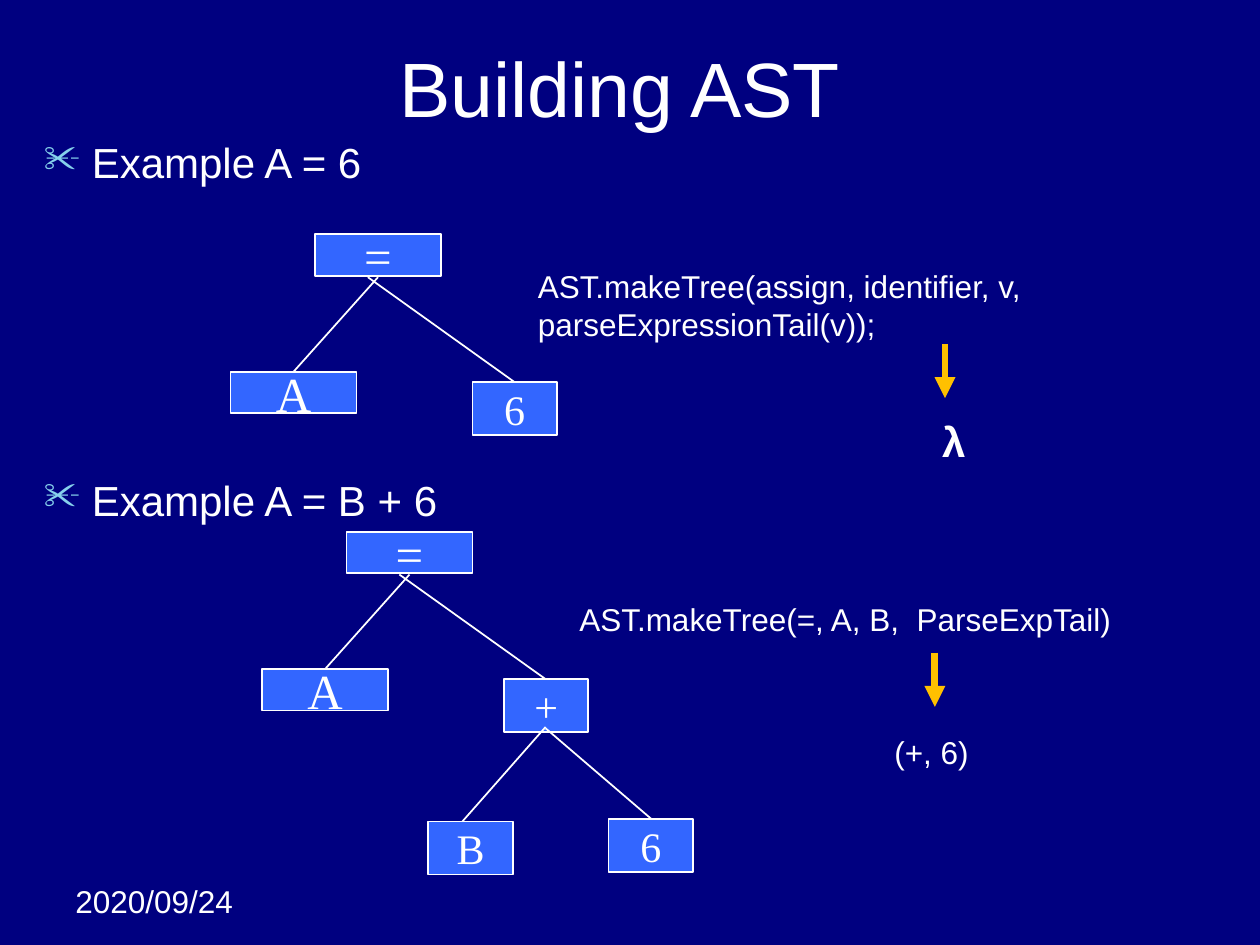
from lxml import etree
from pptx import Presentation
from pptx.dml.color import RGBColor
from pptx.enum import shapes, text
from pptx.oxml import ns
from pptx.util import Inches, Pt

rgb = RGBColor.from_string
WHITE, NAVY, BLUE, AMBER, SKY = "FFFFFF", "000080", "3366FF", "FFC000", "86D1EC"


def set_font(paragraph, size, name="Arial", bold=False):
    paragraph.font.size = Pt(size)
    paragraph.font.name = name
    paragraph.font.bold = bold
    paragraph.font.color.rgb = rgb(WHITE)


def add_line(start, end, color, width):
    line = slide.shapes.add_connector(
        shapes.MSO_CONNECTOR.STRAIGHT, *[Inches(v) for v in (*start, *end)])
    line.line.color.rgb = rgb(color)
    line.line.width = Pt(width)
    etree.SubElement(line._element.spPr, ns.qn("a:effectLst"))
    return line


deck = Presentation()
deck.slide_width, deck.slide_height = Inches(10), Inches(7.5)
slide = deck.slides.add_slide(deck.slide_layouts[5])
slide.background.fill.solid()
slide.background.fill.fore_color.rgb = rgb(NAVY)

title = slide.shapes.title
title.left, title.top, title.width, title.height = [Inches(v) for v in (0.5, 0.3, 9, 0.78)]
title.text_frame.text = "Building AST "
title.text_frame.vertical_anchor = text.MSO_ANCHOR.MIDDLE
title.text_frame.paragraphs[0].alignment = text.PP_ALIGN.CENTER
set_font(title.text_frame.paragraphs[0], 44)

examples = slide.shapes.add_textbox(Inches(0.25), Inches(1.08), Inches(9.58), Inches(5.5)).text_frame
examples.word_wrap = True
examples.text = "Example A = 6\nExample A = B + 6"
for paragraph in examples.paragraphs:
    paragraph.line_spacing = 0.9
    props = paragraph._p.get_or_add_pPr()
    props.set("marL", str(Inches(0.38)))
    props.set("indent", str(Inches(-0.38)))
    bullet_color = etree.SubElement(props, ns.qn("a:buClr"))
    etree.SubElement(bullet_color, ns.qn("a:srgbClr"), val=SKY)
    etree.SubElement(props, ns.qn("a:buSzPct"), val="90000")
    etree.SubElement(props, ns.qn("a:buChar"), char="✂")
    set_font(paragraph, 24)
examples.paragraphs[1].space_before = Pt(167)

WIDE, SMALL = (1, 0.33, 28), (0.67, 0.42, 24)
nodes = [
    ("=", 2.5, 1.86, WIDE), ("A", 1.83, 2.95, WIDE), ("6", 3.75, 3.03, SMALL),
    ("=", 2.75, 4.22, WIDE), ("A", 2.08, 5.31, WIDE), ("+", 4, 5.39, SMALL),
    ("6", 4.83, 6.5, SMALL), ("B", 3.4, 6.52, SMALL),
]
for label, left, top, (width, height, size) in nodes:
    node = slide.shapes.add_shape(
        shapes.MSO_SHAPE.RECTANGLE, *[Inches(v) for v in (left, top, width, height)])
    node.shadow.inherit = False
    node.fill.solid()
    node.fill.fore_color.rgb = rgb(BLUE)
    node.line.color.rgb = rgb(WHITE)
    node.line.width = Pt(1)
    node.text_frame.word_wrap = False
    node.text_frame.vertical_anchor = text.MSO_ANCHOR.MIDDLE
    node.text_frame.text = label
    node.text_frame.paragraphs[0].alignment = text.PP_ALIGN.CENTER
    set_font(node.text_frame.paragraphs[0], size, "Times New Roman")

branches = [
    ((3, 2.2), (2.33, 2.95)), ((2.92, 2.2), (4.08, 3.03)),
    ((3.25, 4.56), (2.58, 5.31)), ((3.17, 4.56), (4.33, 5.39)),
    ((4.33, 5.77), (3.67, 6.52)), ((4.33, 5.78), (5.17, 6.5)),
]
for parent, child in branches:
    add_line(parent, child, WHITE, 1)

for x, top in [(7.5, 2.73), (7.42, 5.18)]:
    arrow = add_line((x, top), (x, top + 0.43), AMBER, 4)
    etree.SubElement(arrow.line._get_or_add_ln(), ns.qn("a:tailEnd"), type="triangle")

LEFT, CENTER = text.PP_ALIGN.LEFT, text.PP_ALIGN.CENTER
notes = [
    ("AST.makeTree(assign, identifier, v,\vparseExpressionTail(v));", 4.17, 2.07, 5, 0.7, 18, False, LEFT),
    ("λ", 7.07, 3.25, 1, 0.5, 24, True, CENTER),
    ("AST.makeTree(=, A, B,  ParseExpTail)", 4.5, 4.71, 5, 0.4, 18, False, LEFT),
    ("(+, 6)", 7, 5.77, 1, 0.4, 18, False, LEFT),
    ("2020/09/24", 0.5, 6.95, 1.58, 0.4, 18, False, LEFT),
]
for wording, left, top, width, height, size, bold, alignment in notes:
    note = slide.shapes.add_textbox(*[Inches(v) for v in (left, top, width, height)]).text_frame
    note.word_wrap = True
    note.text = wording
    note.paragraphs[0].alignment = alignment
    set_font(note.paragraphs[0], size, bold=bold)

deck.save("out.pptx")
